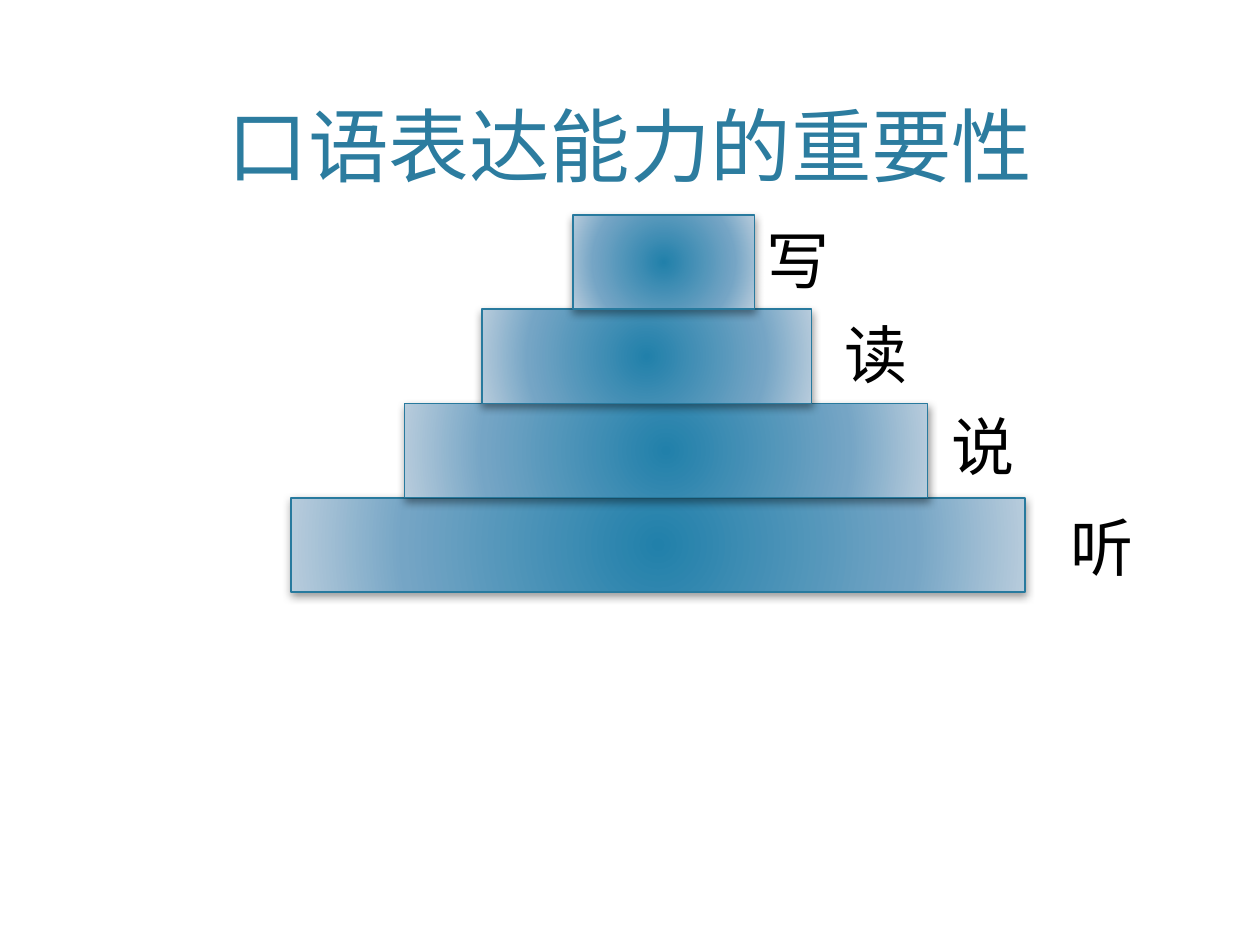
"""Build a slide showing four language skills as a stepped pyramid."""
from dataclasses import dataclass

from pptx import Presentation
from pptx.dml.color import RGBColor
from pptx.enum.lang import MSO_LANGUAGE_ID
from pptx.enum.shapes import MSO_SHAPE
from pptx.enum.text import MSO_ANCHOR, MSO_AUTO_SIZE, PP_ALIGN
from pptx.oxml import parse_xml
from pptx.oxml.ns import nsdecls
from pptx.util import Pt


@dataclass(frozen=True)
class Theme:
    font: str = "Lato"
    title_color: str = "2C7C9F"
    label_color: str = "000000"
    outline: str = "287A9E"
    shadow: str = "000000"
    gradient: tuple = ((0, "2180AA"), (69, "75A5C5"), (100, "B8CCDC"))
    title_size: int = 46
    label_size: int = 36


theme = Theme()


def write_text(shape, text, size, color, align=PP_ALIGN.LEFT, anchor=MSO_ANCHOR.TOP,
               auto_size=MSO_AUTO_SIZE.NONE):
    frame = shape.text_frame
    frame.word_wrap = True
    frame.auto_size = auto_size
    frame.vertical_anchor = anchor
    paragraph = frame.paragraphs[0]
    paragraph.alignment = align
    run = paragraph.add_run()
    run.text = text
    run.font.name = theme.font
    run.font.size = Pt(size)
    run.font.color.rgb = RGBColor.from_string(color)
    run.font.language_id = MSO_LANGUAGE_ID.SIMPLIFIED_CHINESE


def style_tier(shape):
    shape.line.color.rgb = RGBColor.from_string(theme.outline)
    shape.line.width = Pt(1)
    shape.shadow.inherit = False
    stops = "".join(
        f'<a:gs pos="{position * 1000}"><a:srgbClr val="{color}"/></a:gs>'
        for position, color in theme.gradient
    )
    properties = shape._element.spPr
    properties.insert(2, parse_xml(
        f'<a:gradFill {nsdecls("a")} rotWithShape="1"><a:gsLst>{stops}</a:gsLst>'
        '<a:path path="circle"><a:fillToRect l="100000" t="100000" r="100000" b="100000"/>'
        '</a:path></a:gradFill>'
    ))
    properties.effectLst.append(parse_xml(
        f'<a:outerShdw {nsdecls("a")} blurRad="{Pt(5)}" dist="{Pt(2)}" dir="5400000" '
        f'rotWithShape="0"><a:srgbClr val="{theme.shadow}"><a:alpha val="40000"/></a:srgbClr>'
        '</a:outerShdw>'
    ))


presentation = Presentation()
presentation.slide_width, presentation.slide_height = Pt(720), Pt(540)
slide = presentation.slides.add_slide(presentation.slide_layouts[5])

title = slide.shapes.title
title.left, title.top, title.width, title.height = Pt(43.2), Pt(8.6), Pt(633.6), Pt(105.2)
write_text(title, "口语表达能力的重要性", theme.title_size, theme.title_color,
           align=PP_ALIGN.CENTER, anchor=MSO_ANCHOR.BOTTOM)

pyramid_bottom, tier_height = 338.2, 53.8
tiers = [(166.3, 419.5), (231.2, 298.8), (275.3, 188.5), (327.5, 103.7)]
for level, (left, width) in enumerate(tiers, start=1):
    tier = slide.shapes.add_shape(
        MSO_SHAPE.RECTANGLE, Pt(left), Pt(pyramid_bottom - level * tier_height),
        Pt(width), Pt(tier_height))
    style_tier(tier)

labels = [("听", 604.8, 287.3), ("说", 536.4, 229.5), ("读", 475.2, 177), ("写", 431, 123)]
for skill, left, top in labels:
    label = slide.shapes.add_textbox(Pt(left), Pt(top), Pt(68.4), Pt(51))
    write_text(label, skill, theme.label_size, theme.label_color,
               auto_size=MSO_AUTO_SIZE.SHAPE_TO_FIT_TEXT)

presentation.save("out.pptx")
